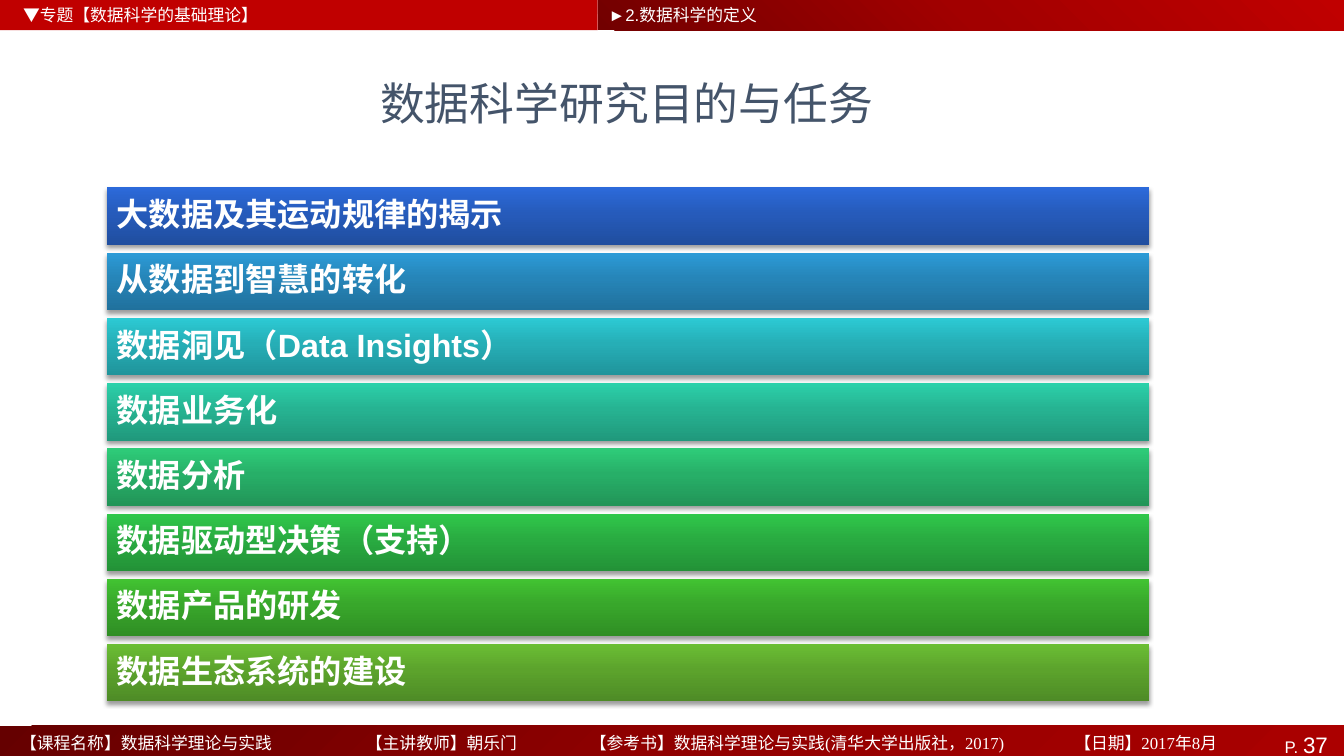
from lxml import etree
from pptx import Presentation
from pptx.dml.color import RGBColor
from pptx.enum.shapes import MSO_SHAPE
from pptx.enum.text import MSO_ANCHOR, PP_ALIGN
from pptx.oxml.ns import qn
from pptx.util import Pt

RECT = MSO_SHAPE.RECTANGLE
TOP, MIDDLE = MSO_ANCHOR.TOP, MSO_ANCHOR.MIDDLE
LEFT, CENTER, RIGHT = PP_ALIGN.LEFT, PP_ALIGN.CENTER, PP_ALIGN.RIGHT

SANS, SERIF, CJK = "Arial", "Times New Roman", "Noto Sans CJK SC"
COLORS = {"white": "FFFFFF", "red": "C00000", "title": "44546A", "shadow": "000000"}
FOOTER_RAMP = [(0, "650000"), (50, "900000"), (100, "AB0000")]
SECTION_RAMP = [(0, "720000"), (50, "A20000"), (100, "C00000")]

# Task text with its dark, middle and light colours
TASKS = [
    ("大数据及其运动规律的揭示", ("204E9F", "265BBB", "2C6ADA")),
    ("从数据到智慧的转化", ("20719D", "2685B8", "2C9BD7")),
    ("数据洞见（Data Insights）", ("20949B", "26AEB6", "2CCAD4")),
    ("数据业务化", ("20997C", "26B392", "2CD1AA")),
    ("数据分析", ("229558", "27AF68", "2ECC79")),
    ("数据驱动型决策（支持）", ("239237", "29AB41", "30C84B")),
    ("数据产品的研发", ("308E24", "38A72B", "42C332")),
    ("数据生态系统的建设", ("4E8B26", "5CA32C", "6BBE34")),
]
TASK_STOPS = (0, 55, 100)
TASK_TOP, TASK_PITCH = 133.9, 46.6

FOOTER_PARTS = [
    "【课程名称】数据科学理论与实践",
    "【主讲教师】朝乐门",
    "【参考书】数据科学理论与实践(清华大学出版社，2017)",
    "【日期】2017年8月",
]
FOOTER_TABS = (247, 407, 753)


def set_attributes(target, values):
    for name, value in values.items():
        setattr(target, name, value)


def add_bar(slide, box, fill=None, ramp=None, angle=0):
    """Rectangle with a flat fill or a gradient; angle runs clockwise."""
    bar = slide.shapes.add_shape(RECT, *map(Pt, box))
    bar.shadow.inherit = False
    bar.line.fill.background()
    if ramp is None:
        bar.fill.solid()
        bar.fill.fore_color.rgb = RGBColor.from_string(fill)
        return bar
    bar.fill.gradient()
    bar.fill.gradient_angle = 360 - angle
    stops = bar._element.spPr.find(qn("a:gradFill")).find(qn("a:gsLst"))
    for stop in list(stops):
        stops.remove(stop)
    for position, color in ramp:
        stop = etree.SubElement(stops, qn("a:gs"), pos=str(position * 1000))
        etree.SubElement(stop, qn("a:srgbClr"), val=color)
    return bar


def add_drop_shadow(bar):
    effects = bar._element.spPr.find(qn("a:effectLst"))
    shadow = etree.SubElement(
        effects, qn("a:outerShdw"), blurRad=str(Pt(3.1)), dist=str(Pt(2)),
        dir="5400000", rotWithShape="0")
    color = etree.SubElement(shadow, qn("a:srgbClr"), val=COLORS["shadow"])
    etree.SubElement(color, qn("a:alpha"), val="38000")


def add_tabs(paragraph, positions):
    tabs = etree.SubElement(paragraph._p.get_or_add_pPr(), qn("a:tabLst"))
    for position in positions:
        etree.SubElement(tabs, qn("a:tab"), pos=str(Pt(position)), algn="l")


def write(shape, runs, font=SANS, color="white", bold=False, frame=None,
          paragraph=None, tabs=()):
    """Fill a shape with one paragraph of (text, size) runs."""
    text_frame = shape.text_frame
    set_attributes(text_frame, {"word_wrap": True, "vertical_anchor": TOP} | (frame or {}))
    line = text_frame.paragraphs[0]
    set_attributes(line, {"alignment": LEFT} | (paragraph or {}))
    if tabs:
        add_tabs(line, tabs)
    for text, size in runs:
        run = line.add_run()
        run.text = text
        set_attributes(run.font, {"name": font, "size": Pt(size), "bold": bold})
        run.font.color.rgb = RGBColor.from_string(COLORS[color])
        etree.SubElement(run._r.get_or_add_rPr(), qn("a:ea"), typeface=CJK)


def add_label(slide, box, text, size, **style):
    write(slide.shapes.add_textbox(*map(Pt, box)), [(text, size)], **style)


def add_task(slide, index, text, colors):
    box = (76.3, TASK_TOP + index * TASK_PITCH, 744.5, 41)
    bar = add_bar(slide, box, ramp=zip(TASK_STOPS, colors), angle=270)
    add_drop_shadow(bar)
    sides = ("left", "right", "top", "bottom")
    write(bar, [(text, 23)], bold=True,
          frame={"vertical_anchor": MIDDLE} | {f"margin_{side}": Pt(7.2) for side in sides},
          paragraph={"line_spacing": 0.9, "space_after": Pt(8)})


def main():
    deck = Presentation()
    set_attributes(deck, {"slide_width": Pt(960), "slide_height": Pt(540)})
    slide = deck.slides.add_slide(deck.slide_layouts[6])

    # Header and footer bars
    add_bar(slide, (0, 0, 427, 21.6), fill=COLORS["red"])
    page_bar = add_bar(slide, (0, 518.4, 960, 26.6), ramp=FOOTER_RAMP, angle=45)
    write(page_bar, [("P. ", 12), ("37 ", 16)], paragraph={"alignment": RIGHT})
    add_bar(slide, (427, 0, 533, 21.6), ramp=SECTION_RAMP, angle=315)

    # Course details, title and section labels
    add_label(slide, (0, 520, 903, 25), "\t".join(FOOTER_PARTS), 12, font=SERIF,
              frame={"margin_left": Pt(14.4)}, tabs=FOOTER_TABS)
    add_label(slide, (152.6, 41, 590.4, 64.8), "数据科学研究目的与任务", 32,
              font=CJK, color="title", frame={"vertical_anchor": MIDDLE},
              paragraph={"alignment": CENTER})
    add_label(slide, (427.7, 0, 450, 21), "►2.数据科学的定义", 12)
    add_label(slide, (9.4, 0, 275.8, 16.6), "▼专题【数据科学的基础理论】", 12)

    # Research tasks
    for index, (text, colors) in enumerate(TASKS):
        add_task(slide, index, text, colors)

    deck.save("out.pptx")


if __name__ == "__main__":
    main()
